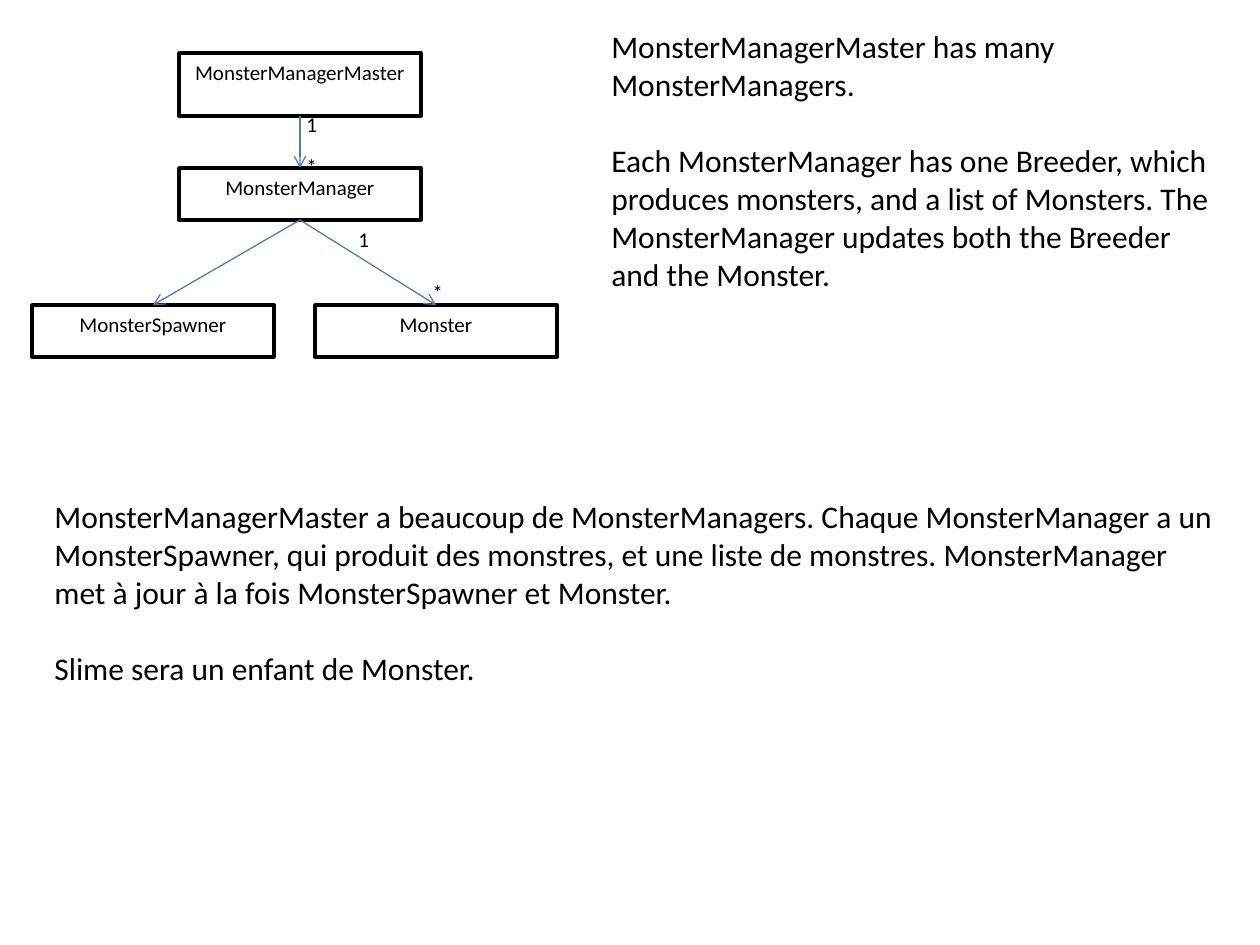
from lxml.etree import SubElement
from pptx import Presentation
from pptx.dml.color import RGBColor
from pptx.enum.shapes import MSO_CONNECTOR as Link, MSO_SHAPE as Shape
from pptx.enum.text import MSO_ANCHOR as Anchor, MSO_AUTO_SIZE as Fit, PP_ALIGN as Align
from pptx.oxml.ns import qn
from pptx.util import Emu, Pt

BLACK = RGBColor(0x00, 0x00, 0x00)
WHITE = RGBColor(0xFF, 0xFF, 0xFF)
BLUE = RGBColor(0x4B, 0x7E, 0xBC)
FONT = "Calibri"
SCALE = 914400 / 126
BOX_W = 242

BOXES = [
    ("MonsterManagerMaster", 179, 53, 63),
    ("MonsterManager", 179, 168, 52),
    ("MonsterSpawner", 32, 305, 52),
    ("Monster", 315, 305, 52),
]
LINKS = [
    ("MonsterManagerMaster", "MonsterManager"),
    ("MonsterManager", "MonsterSpawner"),
    ("MonsterManager", "Monster"),
]
MARKS = [("*", 420, 273), ("1", 346, 220), ("1", 294, 105), ("*", 294, 147)]
ENGLISH = [
    "MonsterManagerMaster has many MonsterManagers.",
    "Each MonsterManager has one Breeder, which produces monsters, and a list "
    "of Monsters. The MonsterManager updates both the Breeder and the Monster.",
]
FRENCH = [
    "MonsterManagerMaster a beaucoup de MonsterManagers. Chaque MonsterManager "
    "a un MonsterSpawner, qui produit des monstres, et une liste de monstres. "
    "MonsterManager met à jour à la fois MonsterSpawner et Monster.",
    "Slime sera un enfant de Monster.",
]


def px(*vals):
    """Turn pixels into EMU."""
    return [Emu(round(val * SCALE)) for val in vals]


def add_run(para, text, size):
    """Add one black run to a paragraph."""
    run = para.add_run()
    run.text = text
    run.font.name = FONT
    run.font.size = Pt(size)
    run.font.color.rgb = BLACK


def add_box(slide, name, left, top, high):
    """Draw a class box with its name at the top centre."""
    box = slide.shapes.add_shape(Shape.RECTANGLE, *px(left, top, BOX_W, high))
    box.shadow.inherit = False
    box.fill.solid()
    box.fill.fore_color.rgb = WHITE
    box.line.color.rgb = BLACK
    box.line.width = Pt(2)
    frame = box.text_frame
    frame.vertical_anchor = Anchor.TOP
    para = frame.paragraphs[0]
    para.alignment = Align.CENTER
    add_run(para, name, 12)
    return box


def add_link(slide, start, end):
    """Draw an arrow from the foot of one box to the top of another."""
    link = slide.shapes.add_connector(Link.STRAIGHT, 0, 0, 0, 0)
    link.begin_connect(start, 2)
    link.end_connect(end, 0)
    link.line.color.rgb = BLUE
    link.line.width = Pt(0.75)
    SubElement(link.line._get_or_add_ln(), qn("a:tailEnd"), type="arrow")
    SubElement(link._element.spPr, qn("a:effectLst"))


def add_text(slide, paras, size, area, wrap=True):
    """Add a text box with one blank line's worth of space between paragraphs."""
    frame = slide.shapes.add_textbox(*px(*area)).text_frame
    frame.word_wrap = wrap
    frame.auto_size = Fit.SHAPE_TO_FIT_TEXT
    for num, text in enumerate(paras):
        para = frame.add_paragraph() if num else frame.paragraphs[0]
        if num:
            para.space_before = Pt(22)
        add_run(para, text, size)


def main():
    """Build the slide and save it."""
    deck = Presentation()
    deck.slide_width, deck.slide_height = px(1260, 945)
    slide = deck.slides.add_slide(deck.slide_layouts[6])
    boxes = {row[0]: add_box(slide, *row) for row in BOXES}
    for start, end in LINKS:
        add_link(slide, boxes[start], boxes[end])
    for mark, left, top in MARKS:
        add_text(slide, [mark], 12, (left, top, 37, 38), wrap=False)
    add_text(slide, ENGLISH, 18, (599, 21, 640, 280))
    add_text(slide, FRENCH, 18, (42, 491, 1187, 202))
    deck.save("out.pptx")


main()
